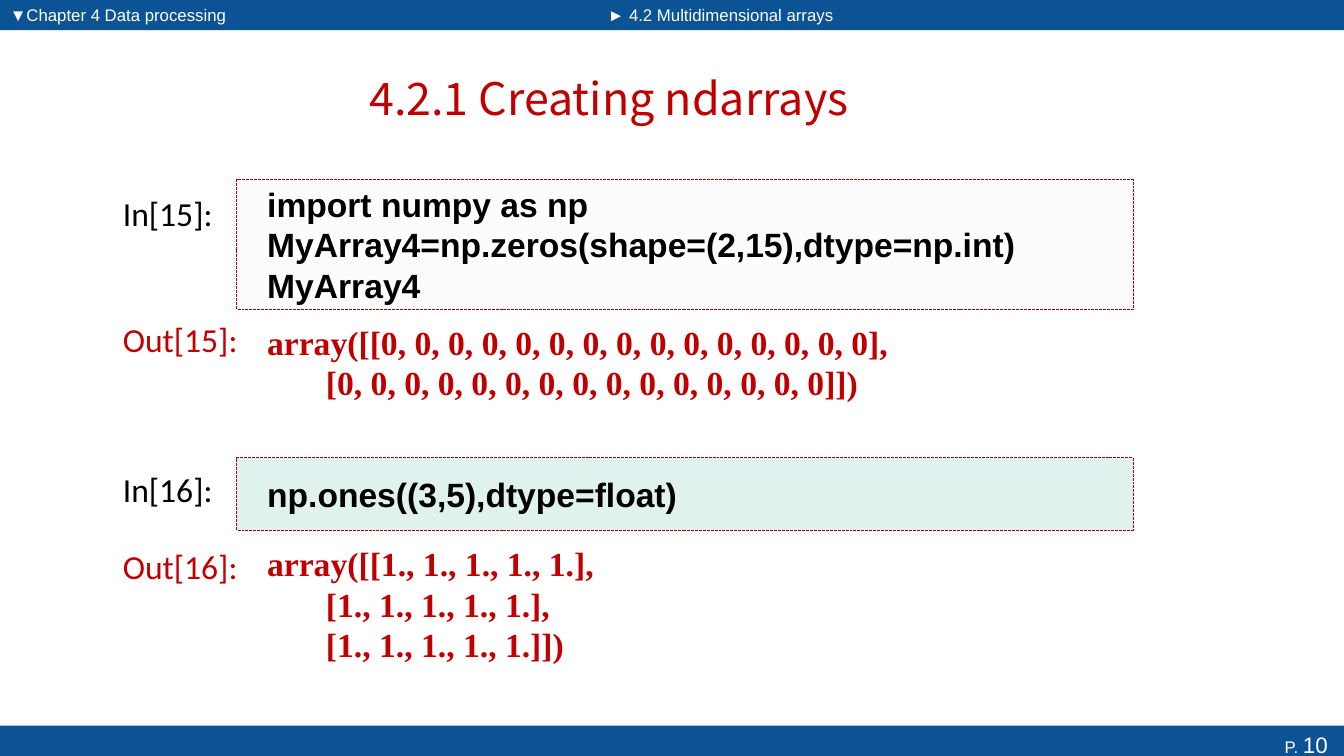
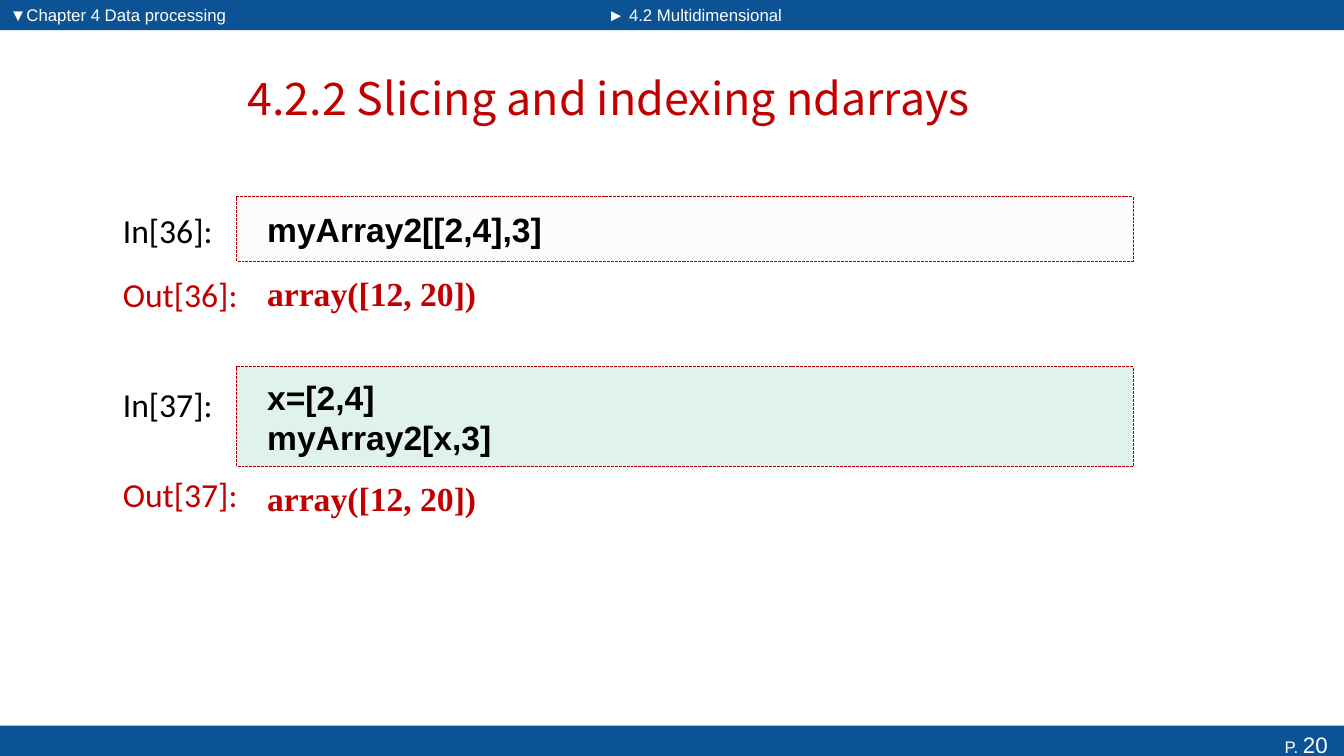
from lxml import etree
from pptx import Presentation
from pptx import util as u
from pptx.dml import color
from pptx.enum import dml, shapes, text
from pptx.oxml import ns

COLORS = {
    "band": "0B5394",
    "light": "FFFFFF",
    "input": "000000",
    "accent": "C00000",
    "border": "AB0000",
    "gray": "F1EEF4",
    "green": "0C9B74",
}
WIDTH, HEIGHT = 13.33, 7.5
BAND_HEIGHT = 0.3
BAND_SPLIT = 5.93
LABEL_LEFT, CELL_LEFT = 1.12, 2.35
CODE_WIDTH, OUTPUT_WIDTH = 8.89, 8.74
CHAPTER = "▼Chapter 4 Data processing"

SLIDES = [
    {
        "title": "4.2.1 Creating ndarrays",
        "section": "► 4.2 Multidimensional arrays",
        "page": 10,
        "cells": [
            {
                "number": 15, "fill": "gray",
                "code": ["import numpy as np",
                         "MyArray4=np.zeros(shape=(2,15),dtype=np.int)",
                         "MyArray4"],
                "code_at": (1.78, 1.29), "in_top": 1.86,
                "output": ["array([[0, 0, 0, 0, 0, 0, 0, 0, 0, 0, 0, 0, 0, 0, 0],",
                           "       [0, 0, 0, 0, 0, 0, 0, 0, 0, 0, 0, 0, 0, 0, 0]])"],
                "output_at": (2.96, 1.26), "out_top": 3.11,
            },
            {
                "number": 16, "fill": "green",
                "code": ["np.ones((3,5),dtype=float)"],
                "code_at": (4.54, 0.72), "in_top": 4.6,
                "output": ["array([[1., 1., 1., 1., 1.],",
                           "       [1., 1., 1., 1., 1.],",
                           "       [1., 1., 1., 1., 1.]])"],
                "output_at": (5.32, 1.34), "out_top": 5.37,
            },
        ],
    },
    {
        "title": "4.2.2 Slicing and indexing ndarrays",
        "section": "► 4.2 Multidimensional",
        "page": 20,
        "cells": [
            {
                "number": 36, "fill": "gray",
                "code": ["myArray2[[2,4],3]"],
                "code_at": (1.95, 0.64), "in_top": 2.03,
                "output": ["array([12, 20])"],
                "output_at": (2.58, 0.65), "out_top": 2.67,
            },
            {
                "number": 37, "fill": "green",
                "code": ["x=[2,4]", "myArray2[x,3]"],
                "code_at": (3.64, 0.99), "in_top": 3.76,
                "output": ["array([12, 20])"],
                "output_at": (4.71, 0.46), "out_top": 4.65,
            },
        ],
    },
]


def rgb(name):
    return color.RGBColor.from_string(COLORS[name])


def box(left, top, width, height):
    return [u.Inches(value) for value in (left, top, width, height)]


class Deck:
    def __init__(self):
        self.prs = Presentation()
        self.prs.slide_width = u.Inches(WIDTH)
        self.prs.slide_height = u.Inches(HEIGHT)
        self.slide = None

    def start(self, title, section, page):
        self.slide = self.prs.slides.add_slide(self.prs.slide_layouts[5])
        self.band(0, 0, BAND_SPLIT, CHAPTER)
        self.band(BAND_SPLIT, 0, WIDTH - BAND_SPLIT, section)
        self.footer(page)
        self.title(title)

    def style(self, paragraph, font, size, ink, bold=False,
              align=text.PP_ALIGN.LEFT):
        paragraph.alignment = align
        paragraph.font.name = font
        paragraph.font.size = u.Pt(size)
        paragraph.font.bold = bold
        paragraph.font.color.rgb = rgb(ink)

    def title(self, words):
        heading = self.slide.shapes.title
        heading.left, heading.top, heading.width, heading.height = box(
            0.68, 0.52, 10.72, 0.9)
        frame = heading.text_frame
        frame.text = words
        frame.vertical_anchor = text.MSO_ANCHOR.MIDDLE
        self.style(frame.paragraphs[0], "Noto Sans CJK SC", 32, "accent",
                   align=text.PP_ALIGN.CENTER)

    def rect(self, left, top, width, height, fill):
        area = self.slide.shapes.add_shape(
            shapes.MSO_SHAPE.RECTANGLE, *box(left, top, width, height))
        area.shadow.inherit = False
        area.fill.solid()
        area.fill.fore_color.rgb = rgb(fill)
        area.line.fill.background()
        return area

    def band(self, left, top, width, words=""):
        strip = self.rect(left, top, width, BAND_HEIGHT, "band")
        frame = strip.text_frame
        frame.vertical_anchor = text.MSO_ANCHOR.TOP
        frame.text = words
        self.style(frame.paragraphs[0], "Arial", 12, "light")
        return frame

    def footer(self, page):
        frame = self.band(0, 7.2, WIDTH)
        frame.margin_right = u.Inches(0.16)
        paragraph = frame.paragraphs[0]
        paragraph.alignment = text.PP_ALIGN.RIGHT
        for words, size in (("P. ", 12), (str(page), 16)):
            run = paragraph.add_run()
            run.text = words
            run.font.size = u.Pt(size)

    def label(self, words, top, ink):
        tag = self.slide.shapes.add_textbox(*box(LABEL_LEFT, top, 1.5, 0.5))
        frame = tag.text_frame
        frame.word_wrap = True
        frame.text = words
        self.style(frame.paragraphs[0], "Calibri", 24, ink)

    def lines(self, frame, rows, font, ink):
        frame.word_wrap = True
        frame.vertical_anchor = text.MSO_ANCHOR.MIDDLE
        frame.margin_left = u.Inches(0.3)
        frame.text = "\n".join(rows)
        for paragraph in frame.paragraphs:
            self.style(paragraph, font, 24, ink, bold=True)

    def code(self, rows, top, height, fill):
        panel = self.rect(CELL_LEFT, top, CODE_WIDTH, height, fill)
        tint = panel.fill._xPr.find(".//" + ns.qn("a:srgbClr"))
        etree.SubElement(tint, ns.qn("a:alpha")).set("val", "13000")
        panel.line.color.rgb = rgb("border")
        panel.line.width = u.Pt(0.7)
        panel.line.dash_style = dml.MSO_LINE.SQUARE_DOT
        self.lines(panel.text_frame, rows, "Arial", "input")

    def output(self, rows, top, height):
        result = self.slide.shapes.add_textbox(
            *box(CELL_LEFT, top, OUTPUT_WIDTH, height))
        self.lines(result.text_frame, rows, "Times New Roman", "accent")

    def cell(self, number, fill, code, code_at, in_top,
             output, output_at, out_top):
        self.label(f"In[{number}]:", in_top, "input")
        self.code(code, *code_at, fill)
        self.label(f"Out[{number}]:", out_top, "accent")
        self.output(output, *output_at)


def main():
    deck = Deck()
    for content in SLIDES:
        deck.start(content["title"], content["section"], content["page"])
        for cell in content["cells"]:
            deck.cell(**cell)
    deck.prs.save("out.pptx")


if __name__ == "__main__":
    main()
